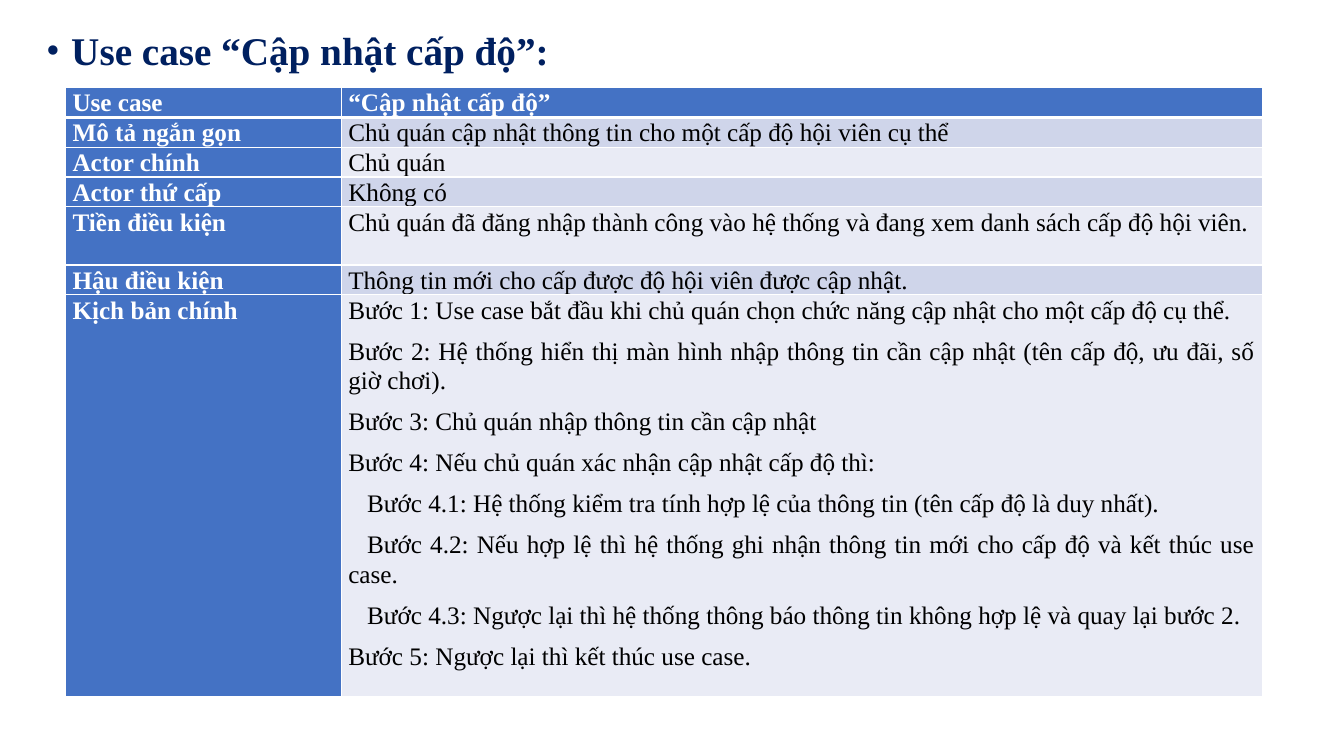
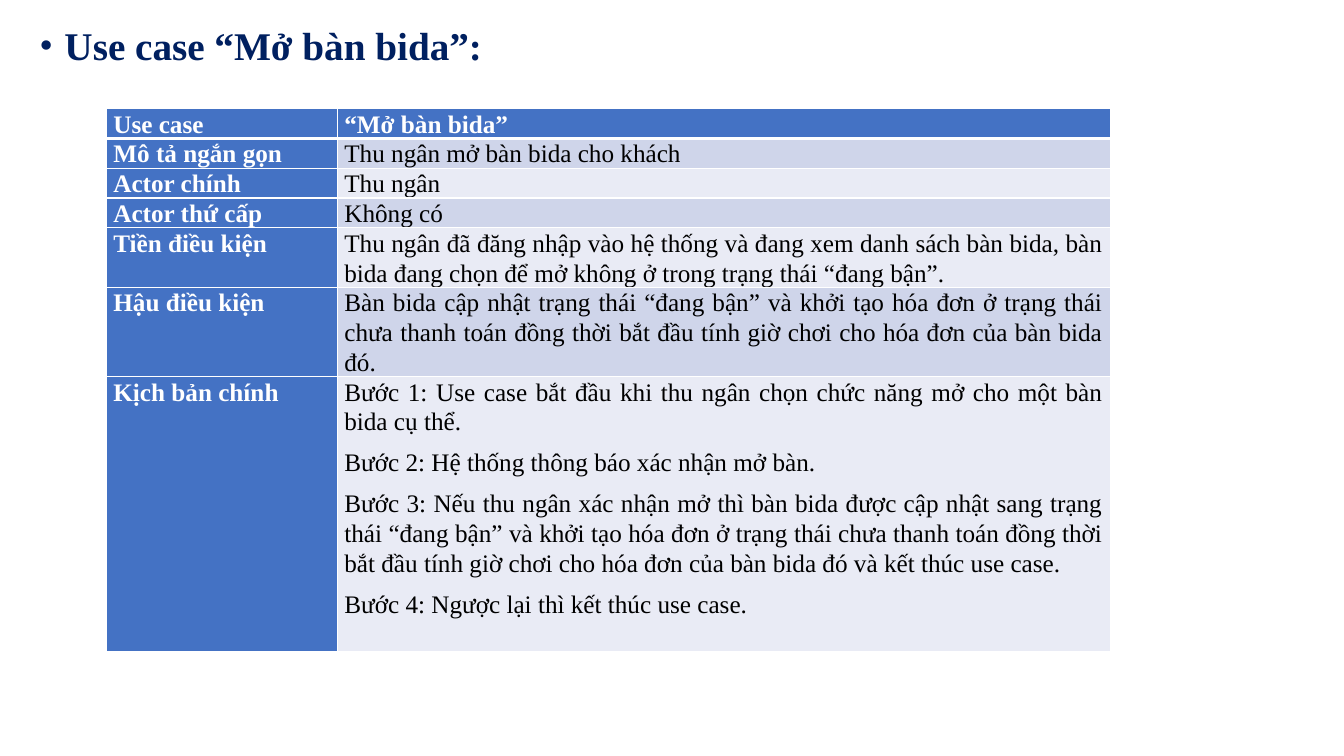
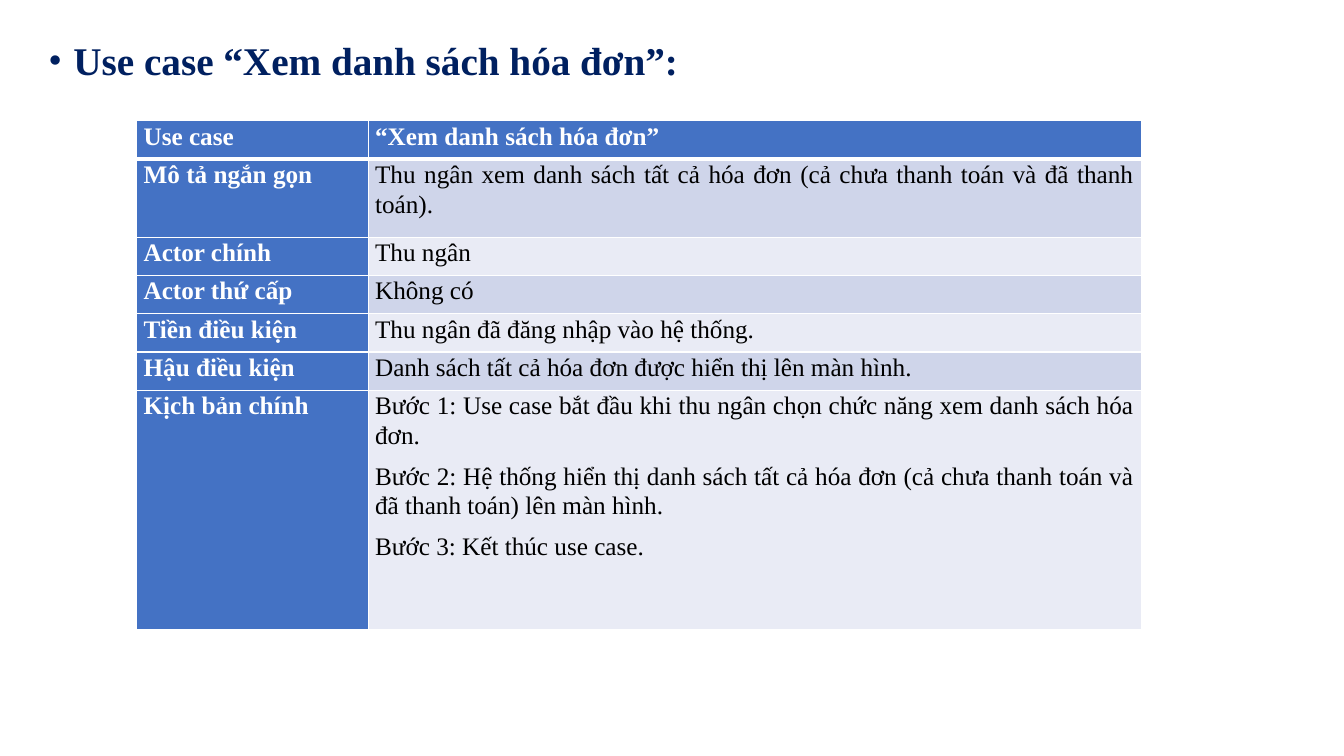
"""Build three use case slides, each a bulleted title over a two-column table."""
from dataclasses import dataclass

from lxml.etree import SubElement
from pptx import Presentation
from pptx.dml.color import RGBColor as RGB
from pptx.enum.text import PP_ALIGN as Align
from pptx.oxml.ns import qn
from pptx.util import Pt


@dataclass(frozen=True)
class Theme:
    font: str = "Times New Roman"
    title_size: float = 28
    body_size: float = 18
    body_line: float = 21.25
    navy: str = "002060"
    blue: str = "4472C4"
    bands: tuple = ("E9EBF5", "CFD5EA")
    white: str = "FFFFFF"
    black: str = "000000"
    thin: float = 1
    thick: float = 3
    cell_margin: float = 5
    sub_indent: float = 13.5


LABELS = ("Use case", "Mô tả ngắn gọn", "Actor chính", "Actor thứ cấp",
          "Tiền điều kiện", "Hậu điều kiện", "Kịch bản chính")
SUB_STEP = "Bước 4."


def put_text(p, text, *, font, size, color, bold=False, align=None,
             spacing=1.0, after=0, left=0, indent=0, bullet=None):
    pPr = p._p.get_or_add_pPr()
    pPr.set("marL", str(Pt(left)))
    pPr.set("indent", str(Pt(indent)))
    if bullet:
        SubElement(pPr, qn("a:buFont"), typeface=font)
        SubElement(pPr, qn("a:buChar"), char=bullet)
    p.alignment = align
    p.line_spacing = spacing
    p.space_before = Pt(0)
    p.space_after = Pt(after)
    r = p.add_run()
    r.text = text
    r.font.name = font
    r.font.size = Pt(size)
    r.font.bold = bold
    r.font.color.rgb = RGB.from_string(color)


class Deck:
    def __init__(self, theme):
        self.theme = theme
        self.prs = Presentation()
        self.prs.slide_width, self.prs.slide_height = Pt(960), Pt(540)
        self.s = None

    def slide(self):
        self.s = self.prs.slides.add_slide(self.prs.slide_layouts[6])

    def title(self, text, x, y, w):
        t = self.theme
        tf = self.s.shapes.add_textbox(Pt(x), Pt(y), Pt(w), Pt(40)).text_frame
        tf.word_wrap = True
        put_text(tf.paragraphs[0], text, font=t.font, size=t.title_size,
                 color=t.navy, bold=True, spacing=0.9, left=18, indent=-18, bullet="•")

    def borders(self, cell, top, bottom):
        t = self.theme
        tcPr = cell._tc.get_or_add_tcPr()
        for side, width in (("L", t.thin), ("R", t.thin), ("T", top), ("B", bottom)):
            ln = SubElement(tcPr, qn(f"a:ln{side}"), w=str(Pt(width)))
            SubElement(SubElement(ln, qn("a:solidFill")), qn("a:srgbClr"), val=t.white)

    def cell(self, cell, lines, fill, color, bold, row):
        t = self.theme
        self.borders(cell, t.thick if row == 1 else t.thin, t.thick if row == 0 else t.thin)
        cell.fill.solid()
        cell.fill.fore_color.rgb = RGB.from_string(fill)
        cell.margin_left = cell.margin_right = Pt(t.cell_margin)
        cell.margin_top = cell.margin_bottom = Pt(0)
        tf = cell.text_frame
        for i, line in enumerate(lines):
            p = tf.add_paragraph() if i else tf.paragraphs[0]
            put_text(p, line, font=t.font, size=t.body_size, color=color, bold=bold,
                     align=Align.JUSTIFY, spacing=Pt(t.body_line), after=8,
                     indent=t.sub_indent if line.startswith(SUB_STEP) else 0)

    def table(self, details, x, y, cols, heights):
        t = self.theme
        table = self.s.shapes.add_table(len(LABELS), 2, Pt(x), Pt(y),
                                        Pt(sum(cols)), Pt(sum(heights))).table
        table.horz_banding = False
        for column, w in zip(table.columns, cols):
            column.width = Pt(w)
        for i, (label, lines, h) in enumerate(zip(LABELS, details, heights)):
            table.rows[i].height = Pt(h)
            self.cell(table.cell(i, 0), [label], t.blue, t.white, True, i)
            head = i == 0
            self.cell(table.cell(i, 1), lines, t.blue if head else t.bands[i % 2],
                      t.white if head else t.black, head, i)

    def use_case(self, name, summary, actor, before, after, steps, title_at, **grid):
        quoted = f"“{name}”"
        self.slide()
        self.title(f"Use case {quoted}:", *title_at)
        self.table([[quoted], [summary], [actor], ["Không có"], [before], [after], steps], **grid)


def main():
    theme = Theme()
    deck = Deck(theme)
    line = theme.body_line
    deck.use_case(
        "Cập nhật cấp độ",
        "Chủ quán cập nhật thông tin cho một cấp độ hội viên cụ thể",
        "Chủ quán",
        "Chủ quán đã đăng nhập thành công vào hệ thống và đang xem danh sách cấp độ hội viên.",
        "Thông tin mới cho cấp được độ hội viên được cập nhật.",
        ["Bước 1: Use case bắt đầu khi chủ quán chọn chức năng cập nhật cho một cấp độ cụ thể.",
         "Bước 2: Hệ thống hiển thị màn hình nhập thông tin cần cập nhật "
         "(tên cấp độ, ưu đãi, số giờ chơi).",
         "Bước 3: Chủ quán nhập thông tin cần cập nhật",
         "Bước 4: Nếu chủ quán xác nhận cập nhật cấp độ thì:",
         "Bước 4.1: Hệ thống kiểm tra tính hợp lệ của thông tin (tên cấp độ là duy nhất).",
         "Bước 4.2: Nếu hợp lệ thì hệ thống ghi nhận thông tin mới cho cấp độ "
         "và kết thúc use case.",
         "Bước 4.3: Ngược lại thì hệ thống thông báo thông tin không hợp lệ "
         "và quay lại bước 2.",
         "Bước 5: Ngược lại thì kết thúc use case."],
        title_at=(25.8, 18.7, 868), x=46.8, y=62.6, cols=(197, 657.8),
        heights=(line, line, line, line, 41.6, line, 287))
    deck.use_case(
        "Mở bàn bida",
        "Thu ngân mở bàn bida cho khách",
        "Thu ngân",
        "Thu ngân đã đăng nhập vào hệ thống và đang xem danh sách bàn bida, "
        "bàn bida đang chọn để mở không ở trong trạng thái “đang bận”.",
        "Bàn bida cập nhật trạng thái “đang bận” và khởi tạo hóa đơn ở trạng thái "
        "chưa thanh toán đồng thời bắt đầu tính giờ chơi cho hóa đơn của bàn bida đó.",
        ["Bước 1: Use case bắt đầu khi thu ngân chọn chức năng mở cho một bàn bida cụ thể.",
         "Bước 2: Hệ thống thông báo xác nhận mở bàn.",
         "Bước 3: Nếu thu ngân xác nhận mở thì bàn bida được cập nhật sang trạng thái "
         "“đang bận” và khởi tạo hóa đơn ở trạng thái chưa thanh toán đồng thời bắt đầu "
         "tính giờ chơi cho hóa đơn của bàn bida đó và kết thúc use case.",
         "Bước 4: Ngược lại thì kết thúc use case."],
        title_at=(21, 15.4, 873), x=76, y=77.6, cols=(165, 552),
        heights=(line, line, line, line, 2 * line, 3 * line, 196.6))
    deck.use_case(
        "Xem danh sách hóa đơn",
        "Thu ngân xem danh sách tất cả hóa đơn (cả chưa thanh toán và đã thanh toán).",
        "Thu ngân",
        "Thu ngân đã đăng nhập vào hệ thống.",
        "Danh sách tất cả hóa đơn được hiển thị lên màn hình.",
        ["Bước 1: Use case bắt đầu khi thu ngân chọn chức năng xem danh sách hóa đơn.",
         "Bước 2: Hệ thống hiển thị danh sách tất cả hóa đơn "
         "(cả chưa thanh toán và đã thanh toán) lên màn hình.",
         "Bước 3: Kết thúc use case."],
        title_at=(27.4, 26, 828), x=97.6, y=86.2, cols=(165.4, 552.2),
        heights=(27.3, 56, 27.3, 27.3, 27.3, 27.3, 170.8))
    deck.prs.save("out.pptx")


if __name__ == "__main__":
    main()
